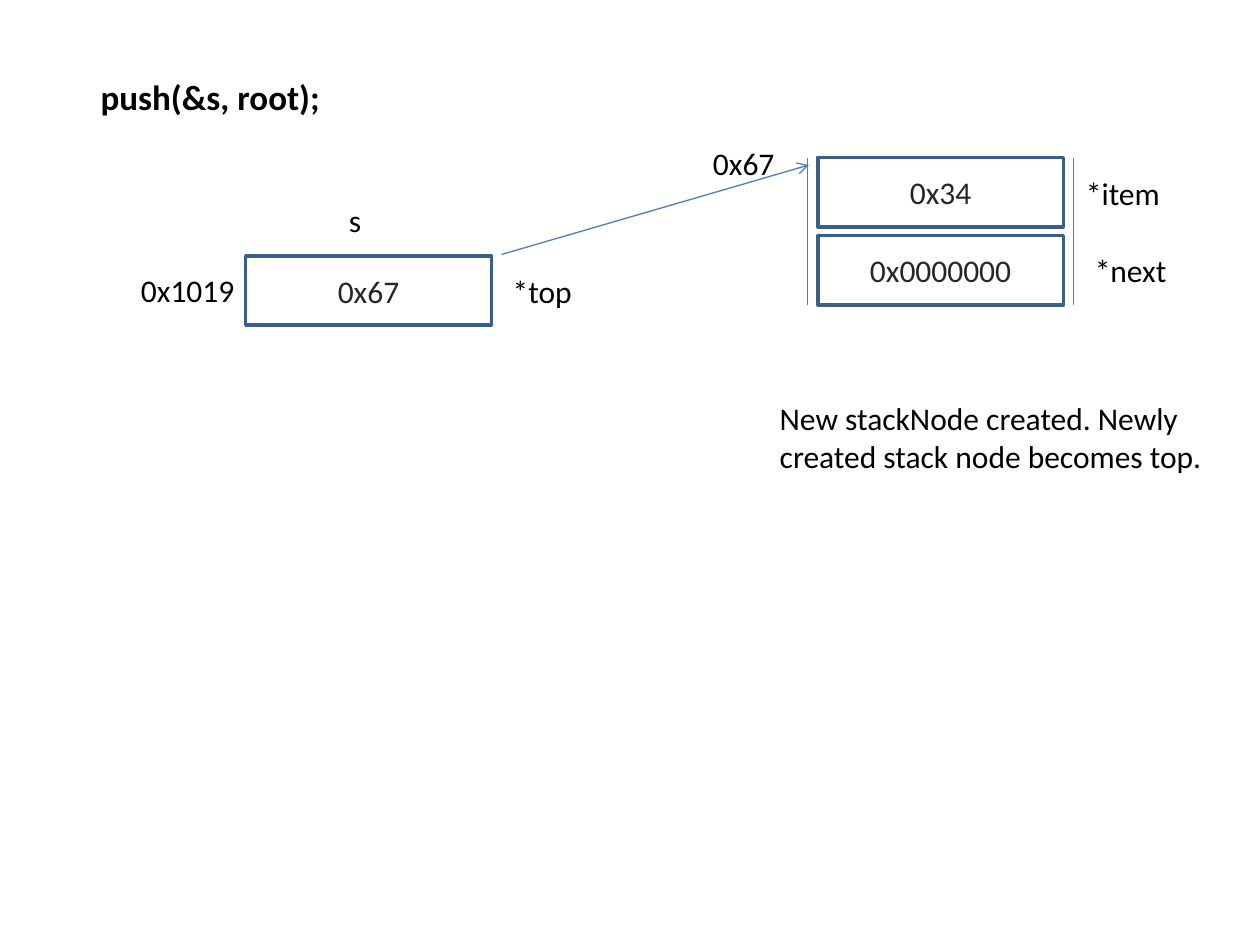
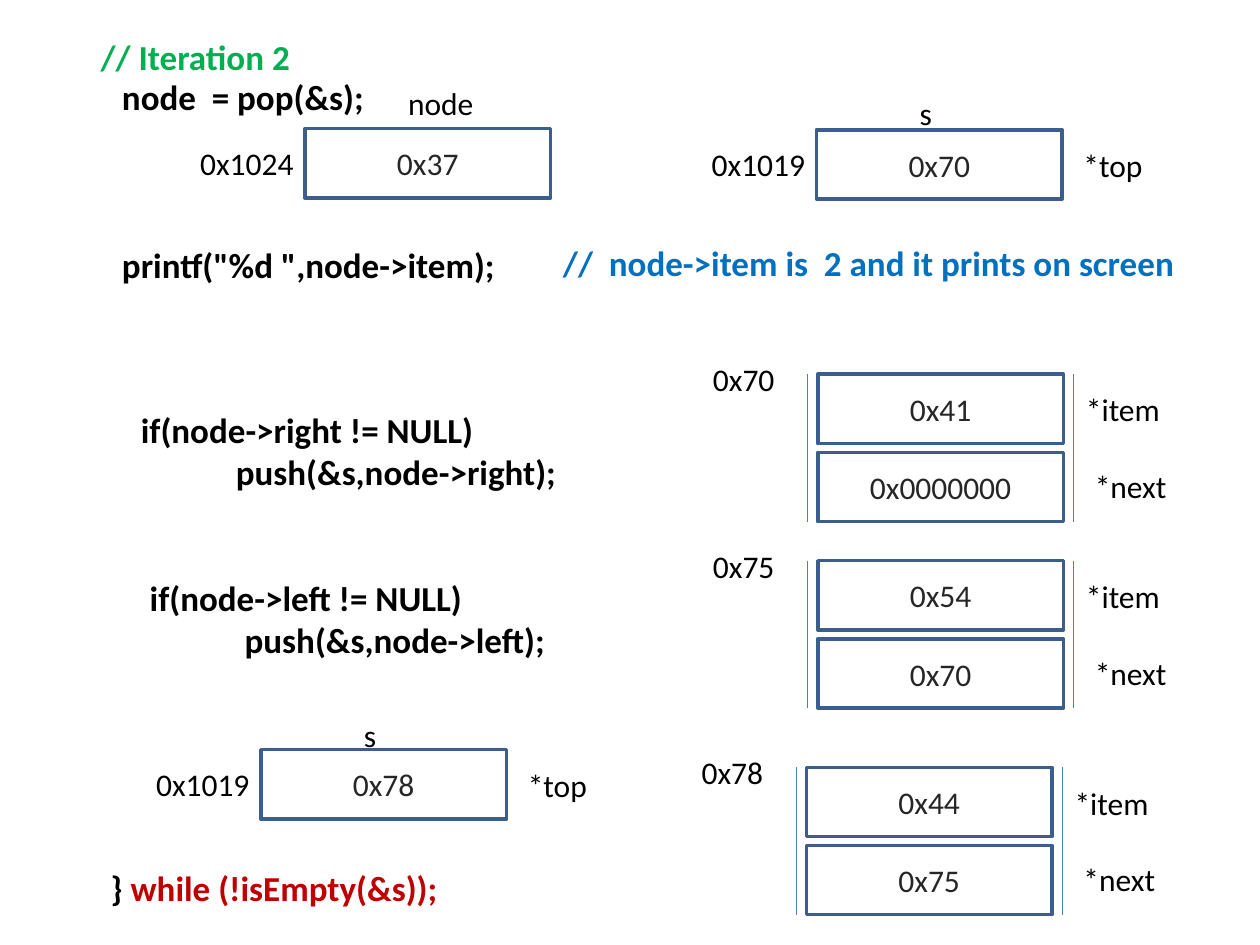
"""Build two slides that trace stack pushes and pops during a tree traversal."""
from lxml import etree
from pptx import Presentation
from pptx.dml.color import RGBColor
from pptx.enum.shapes import MSO_CONNECTOR, MSO_SHAPE
from pptx.enum.text import MSO_ANCHOR, MSO_AUTO_SIZE, PP_ALIGN
from pptx.oxml.ns import qn
from pptx.util import Pt

STRAIGHT = MSO_CONNECTOR.STRAIGHT
RECTANGLE = MSO_SHAPE.RECTANGLE
MIDDLE = MSO_ANCHOR.MIDDLE
FIT_TEXT = MSO_AUTO_SIZE.SHAPE_TO_FIT_TEXT
CENTER = PP_ALIGN.CENTER

BLACK = RGBColor(0x00, 0x00, 0x00)
CELL_TEXT = RGBColor(0x26, 0x26, 0x26)
CELL_LINE = RGBColor(0x3A, 0x5F, 0x8C)
BAR_LINE = RGBColor(0x4B, 0x7E, 0xBC)
GREEN = RGBColor(0x00, 0xB0, 0x50)
BLUE = RGBColor(0x00, 0x70, 0xC0)
RED = RGBColor(0xC0, 0x00, 0x00)

PX = 9144
CELL_WIDTH, CELL_HEIGHT, CELL_STEP = 195, 55, 62
NODE_HEIGHT = CELL_STEP + CELL_HEIGHT
LABEL = {"name": "Calibri", "size": Pt(18), "bold": False}
CODE = {"name": "Calibri", "size": Pt(20), "bold": True}


def add_text(slide, place, lines, style=LABEL, wrap=False, cell=False):
    bounds = [length * PX for length in place]
    if cell:
        box = slide.shapes.add_shape(RECTANGLE, *bounds)
        box.shadow.inherit = False
        box.fill.background()
        box.line.color.rgb = CELL_LINE
        box.line.width = Pt(2)
        box.text_frame.vertical_anchor = MIDDLE
    else:
        box = slide.shapes.add_textbox(*bounds)
        box.text_frame.auto_size = FIT_TEXT
    frame = box.text_frame
    frame.word_wrap = wrap or cell
    for index, spans in enumerate(lines):
        para = frame.add_paragraph() if index else frame.paragraphs[0]
        if cell:
            para.alignment = CENTER
        for text, color in spans:
            span = para.add_run()
            span.text = text
            for name, value in style.items():
                setattr(span.font, name, value)
            span.font.color.rgb = color


def add_line(slide, *ends):
    line = slide.shapes.add_connector(STRAIGHT, *[end * PX for end in ends])
    line.line.color.rgb = BAR_LINE
    line.line.width = Pt(0.75)
    etree.SubElement(line._element.spPr, qn("a:effectLst"))
    return line


push_slide = {
    "code": [((70, 55, 266, 44), [[("push(&s, root);", BLACK)]])],
    "variables": [(195, 203, "s", 30, -48, "0x1019", "0x67")],
    "nodes": [(649, 125, "0x67", "0x34", "0x0000000")],
}
pop_slide = {
    "code": [
        ((70, 23, 266, 44), [[("// Iteration 2", GREEN)]]),
        ((87, 55, 390, 44), [[("node  = pop(&s);", BLACK)]]),
        ((437, 187, 523, 44), [[("//  node->item is  2 and it prints on screen", BLUE)]]),
        ((87, 188, 390, 44), [[('printf("%d ",node->item);', BLACK)]]),
        ((102, 319, 414, 77), [[("if(node->right != NULL)", BLACK)],
                               [("            push(&s,node->right);", BLACK)]]),
        ((109, 453, 414, 77), [[("if(node->left != NULL)", BLACK)],
                               [("            push(&s,node->left);", BLACK)]]),
        ((78, 683, 414, 44), [[("} ", BLACK), ("while (!isEmpty(&s));", RED)]]),
    ],
    "variables": [
        (242, 102, "node", 73, -40, "0x1024", "0x37"),
        (648, 103, "s", 30, -33, "0x1019", "0x70"),
        (207, 595, "s", 30, -32, "0x1019", "0x78"),
    ],
    "nodes": [
        (649, 297, "0x70", "0x41", "0x0000000"),
        (649, 445, "0x75", "0x54", "0x70"),
        (640, 609, "0x78", "0x44", "0x75"),
    ],
}

deck = Presentation()
deck.slide_width = 1000 * PX
deck.slide_height = 750 * PX

for content in (push_slide, pop_slide):
    page = deck.slides.add_slide(deck.slide_layouts[6])

    for place, lines in content["code"]:
        add_text(page, place, lines, CODE, wrap=True)

    for left, top, name, name_width, name_rise, address, value in content["variables"]:
        add_text(page, (left, top, CELL_WIDTH, CELL_HEIGHT), [[(value, CELL_TEXT)]], cell=True)
        labels = [(72, name_rise, name_width, name), (-93, 7, 95, address)]
        if name == "s":
            labels.append((202, 8, 68, "*top"))
        for across, down, width, text in labels:
            add_text(page, (left + across, top + down, width, 40), [[(text, BLACK)]])

    for left, top, address, item, following in content["nodes"]:
        for row, value in enumerate((item, following)):
            place = (left, top + row * CELL_STEP, CELL_WIDTH, CELL_HEIGHT)
            add_text(page, place, [[(value, CELL_TEXT)]], cell=True)
        for across, down, width, text in (
            (-93, -16, 69, address), (203, 8, 80, "*item"), (210, 69, 78, "*next"),
        ):
            add_text(page, (left + across, top + down, width, 40), [[(text, BLACK)]])
        for bar in (left - 8, left + 203):
            add_line(page, bar, top, bar, top + NODE_HEIGHT)

first_page = deck.slides[0]
caption = "New stackNode created. Newly created stack node becomes top."
add_text(first_page, (609, 312, 367, 71), [[(caption, BLACK)]], wrap=True)
pointer = add_line(first_page, 398, 202, 642, 131)
etree.SubElement(pointer.line._get_or_add_ln(), qn("a:tailEnd"), type="arrow")

deck.save("out.pptx")
